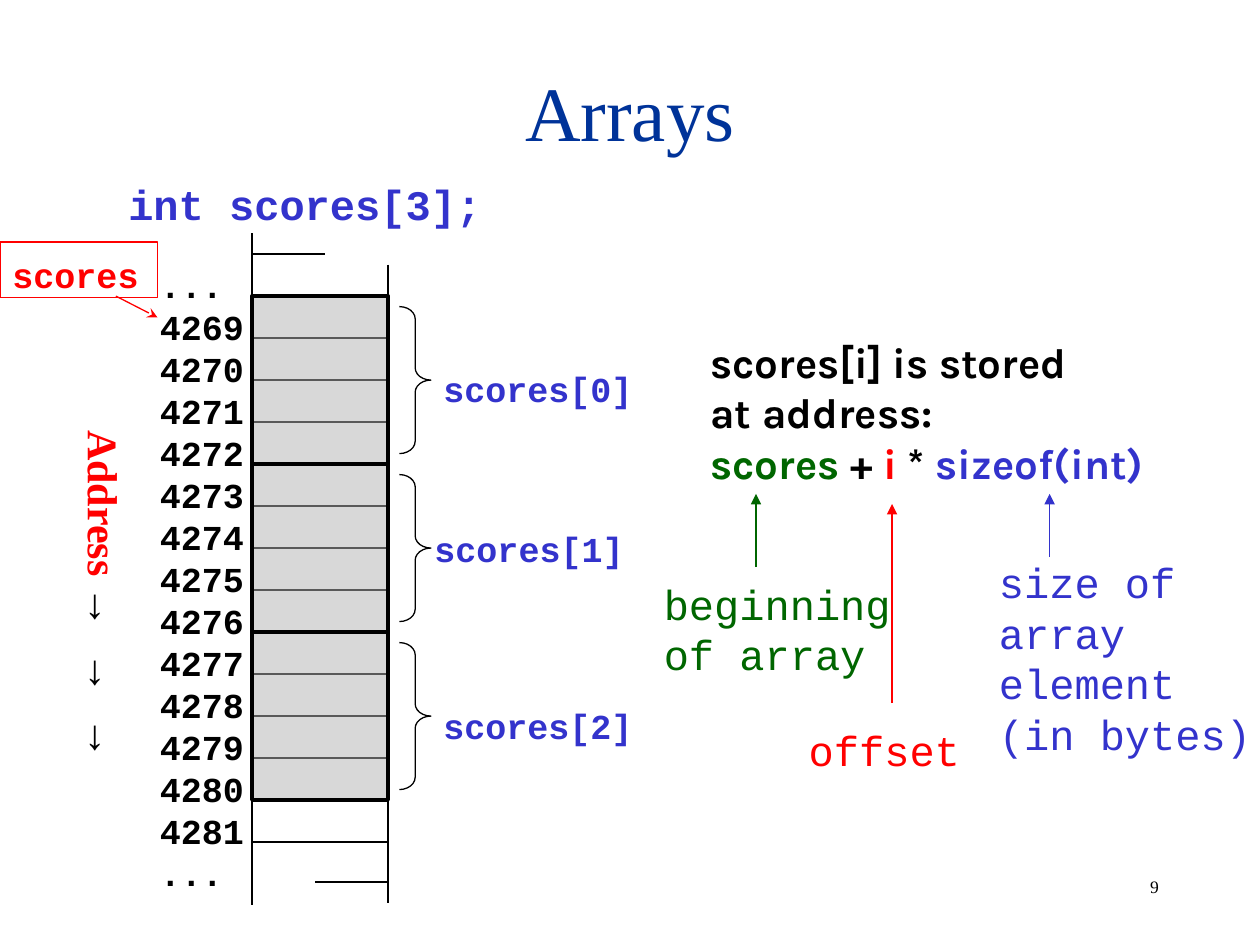
from lxml import etree
from pptx import Presentation
from pptx import util as u
from pptx.dml.color import RGBColor
from pptx.enum import shapes, text
from pptx.oxml.ns import qn

COLORS = {"black": "000000", "navy": "003399", "blue": "3333CC",
          "red": "FF0000", "green": "006600", "cell": "B2B2B2"}
MONO, SERIF = "Courier New", "Times New Roman"

ADDRESSES = ["...", *map(str, range(4269, 4282)), "..."]
LABELS = [("scores[0]", 3.42, 2.83, 1.75),
          ("scores[1]", 3.35, 4.1, 1.74),
          ("scores[2]", 3.42, 5.5, 1.99)]
FORMULA = [[("scores[i] is stored", "black")],
           [("at address:", "black")],
           [("scores", "green"), (" + ", "black"), ("i", "red"),
            (" * ", "black"), ("sizeof(int)", "blue")]]
NOTES = [(["beginning", "of array"], "green", (5.17, 4.5, 2, 0.9)),
         (["offset"], "red", (6.32, 5.66, 1.4, 0.5)),
         (["size of", "array", "element", "(in bytes)"], "blue",
          (7.83, 4.33, 2.2, 1.7))]
ARROWS = [((6, 4.5), (6, 3.92), "green", "triangle"),
          ((7.08, 5.58), (7.08, 4), "red", "triangle"),
          ((8.33, 4.42), (8.33, 3.92), "blue", "triangle"),
          ((0.92, 2.35), (1.25, 2.52), "red", "stealth")]

LEFT, RIGHT, TOP = 2, 3.08, 2.35
ROW = 1 / 3
INT_BYTES = 4
BLOCK = INT_BYTES * ROW

prs = Presentation()
prs.slide_width, prs.slide_height = u.Inches(10), u.Inches(7.5)
slide = prs.slides.add_slide(prs.slide_layouts[5])


def rgb(color):
    return RGBColor.from_string(COLORS[color])


def add_run(paragraph, words, color, size, font, bold=False):
    run = paragraph.add_run()
    run.text = words
    run.font.size, run.font.name, run.font.bold = u.Pt(size), font, bold
    run.font.color.rgb = rgb(color)
    return run


def write(shape, lines, size, font=MONO, bold=False, wrap=True):
    frame = shape.text_frame
    frame.word_wrap = wrap
    frame.auto_size = (text.MSO_AUTO_SIZE.NONE if wrap
                       else text.MSO_AUTO_SIZE.SHAPE_TO_FIT_TEXT)
    frame.vertical_anchor = text.MSO_ANCHOR.TOP
    frame.margin_top, frame.margin_bottom = u.Inches(0.09), u.Inches(0.01)
    for i, runs in enumerate(lines):
        paragraph = frame.add_paragraph() if i else frame.paragraphs[0]
        paragraph.alignment = text.PP_ALIGN.LEFT
        paragraph.line_spacing = u.Pt(size * 1.2)
        for words, color in runs:
            add_run(paragraph, words, color, size, font, bold)


def add_text(at, *args, **style):
    box = slide.shapes.add_textbox(*map(u.Inches, at))
    write(box, *args, **style)


def add_line(start, end, color="black", head=None):
    line = slide.shapes.add_connector(
        shapes.MSO_CONNECTOR.STRAIGHT, *map(u.Inches, (*start, *end)))
    line.line.color.rgb, line.line.width = rgb(color), u.Pt(0.75)
    if head:
        etree.SubElement(line.line._get_or_add_ln(), qn("a:tailEnd"), type=head)
    etree.SubElement(line._element.spPr, qn("a:effectLst"))


def add_outline(kind, at, color, width):
    shape = slide.shapes.add_shape(kind, *map(u.Inches, at))
    shape.shadow.inherit = False
    shape.fill.background()
    shape.line.color.rgb, shape.line.width = rgb(color), u.Pt(width)
    return shape


title = slide.shapes.title
title.left, title.top, title.width, title.height = map(
    u.Inches, (0.75, 0.25, 8.5, 1.25))
title.text_frame.vertical_anchor = text.MSO_ANCHOR.MIDDLE
title.text_frame.paragraphs[0].alignment = text.PP_ALIGN.CENTER
add_run(title.text_frame.paragraphs[0], "Arrays", "navy", 44, SERIF)

add_text((9.03, 6.86, 0.78, 0.27), [[("9", "black")]], 10, font=SERIF)
add_text((0.92, 1.33, 3, 0.5), [[("int scores[3];", "blue")]], 24,
         bold=True, wrap=False)
add_text((1.17, 2, 1, 5.1), [[(a, "black")] for a in ADDRESSES], 20, bold=True)

axis = slide.shapes.add_textbox(*map(u.Inches, (-0.88, 4.47, 3.42, 0.5)))
axis.rotation = 90
axis.text_frame.word_wrap = True
axis_text = axis.text_frame.paragraphs[0]
axis_text.alignment = text.PP_ALIGN.CENTER
add_run(axis_text, "Address ", "red", 24, SERIF, True)
directions = add_run(axis_text, "→ → →", "black", 24, "Arial")
directions.font._element.set("spc", "330")

add_line((RIGHT, 2.1), (RIGHT, 7.17))
add_line((LEFT, 1.85), (LEFT, 7.18))
for row in range(len(ADDRESSES) - 1):
    add_line((LEFT, TOP + row * ROW), (RIGHT, TOP + row * ROW))
add_line((2.5, 7), (RIGHT, 7))
add_line((LEFT, TOP - ROW), (2.58, TOP - ROW))

for i, (label, x, y, width) in enumerate(LABELS):
    block_top = TOP + i * BLOCK
    element = add_outline(shapes.MSO_SHAPE.RECTANGLE,
                          (LEFT, block_top, RIGHT - LEFT, BLOCK), "black", 2)
    element.fill.solid()
    element.fill.fore_color.rgb = rgb("cell")
    tint = element._element.spPr.find(qn("a:solidFill"))[0]
    etree.SubElement(tint, qn("a:alpha"), val="50000")
    brace = add_outline(shapes.MSO_SHAPE.RIGHT_BRACE,
                        (3.17, block_top + ROW / 4, 0.25, ROW * 3.5),
                        "black", 0.75)
    brace.adjustments[0] = 0.39
    add_text((x, y, width, 0.44), [[(label, "blue")]], 20, bold=True)

pointer = add_outline(shapes.MSO_SHAPE.RECTANGLE, (0, 1.92, 1.25, 0.44),
                      "red", 0.75)
write(pointer, [[("scores", "red")]], 20, bold=True)

add_text((5.54, 2.58, 3.73, 1.3), FORMULA, 24, font="Karla", bold=True,
         wrap=False)
for lines, color, at in NOTES:
    add_text(at, [[(line, color)] for line in lines], 24, wrap=False)
for arrow in ARROWS:
    add_line(*arrow)

prs.save("out.pptx")
